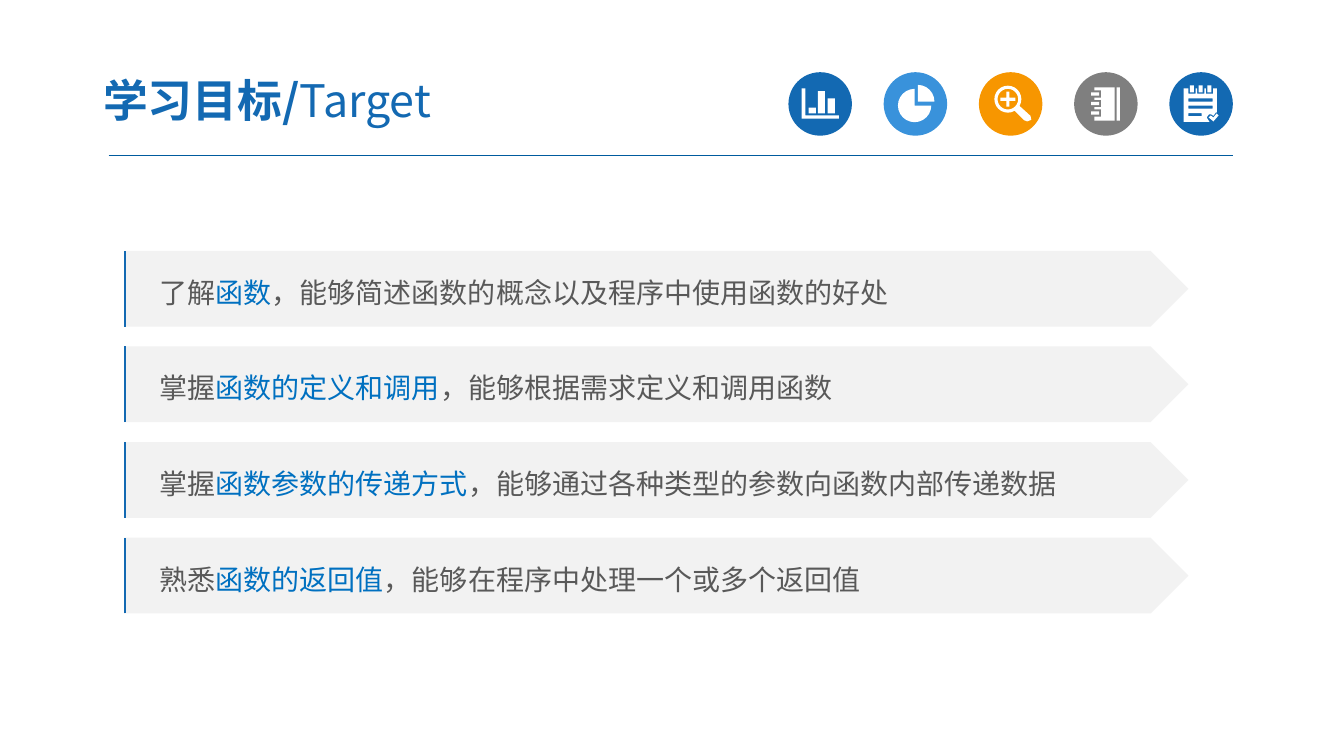
from math import cos, radians, sin

from lxml import etree
from pptx import Presentation
from pptx.dml.color import RGBColor
from pptx.enum.shapes import MSO_CONNECTOR, MSO_SHAPE
from pptx.enum.text import MSO_ANCHOR, MSO_AUTO_SIZE, PP_ALIGN
from pptx.oxml.ns import qn
from pptx.util import Cm, Pt

FONT = "Noto Sans CJK SC"
BLUE = RGBColor(0x13, 0x69, 0xB2)
SKY = RGBColor(0x39, 0x92, 0xDB)
ORANGE = RGBColor(0xF7, 0x96, 0x00)
GREY = RGBColor(0x7F, 0x7F, 0x7F)
WHITE = RGBColor(0xFF, 0xFF, 0xFF)
RULE_BLUE = RGBColor(0x00, 0x5B, 0x9E)
BANNER_GREY = RGBColor(0xF2, 0xF2, 0xF2)
TEXT_GREY = RGBColor(0x59, 0x59, 0x59)
KEY_BLUE = RGBColor(0x00, 0x70, 0xC0)

OVAL, PENTAGON = MSO_SHAPE.OVAL, MSO_SHAPE.PENTAGON
STRAIGHT = MSO_CONNECTOR.STRAIGHT
MIDDLE, LEFT = MSO_ANCHOR.MIDDLE, PP_ALIGN.LEFT


def add_run(paragraph, text, size, color, bold=False):
    run = paragraph.add_run()
    run.text = text
    run.font.size = Pt(size)
    run.font.bold = bold
    run.font.color.rgb = color
    run.font.name = FONT
    etree.SubElement(run.font._element, qn("a:ea")).set("typeface", FONT)


def arc(x, y, radius, start, end):
    """Points every 15 degrees, clockwise from the right."""
    return [(x + radius * cos(radians(a)), y + radius * sin(radians(a)))
            for a in range(start, end + 1, 15)]


prs = Presentation()
prs.slide_width, prs.slide_height = Cm(33.87), Cm(19.05)
slide = prs.slides.add_slide(prs.slide_layouts[5])

# Title and the rule below it
title = slide.shapes.title
title.left, title.top, title.width, title.height = Cm(2.27), Cm(1.6), Cm(13.26), Cm(1.83)
heading = title.text_frame
heading.auto_size = MSO_AUTO_SIZE.NONE
heading.vertical_anchor = MIDDLE
heading.margin_left = heading.margin_right = Cm(0.33)
heading.margin_top = heading.margin_bottom = Cm(0.18)
heading.paragraphs[0].alignment = LEFT
add_run(heading.paragraphs[0], "学习目标/", 32, BLUE, bold=True)
add_run(heading.paragraphs[0], "Target", 32, BLUE)
rule = slide.shapes.add_connector(STRAIGHT, Cm(2.74), Cm(3.93), Cm(31.07), Cm(3.93))
rule.line.color.rgb = RULE_BLUE
rule.line.width = Pt(0.75)
etree.SubElement(rule._element.spPr, qn("a:effectLst"))

# Glyph outlines in cm within the disc; an outline inside another is a hole
axes = [(0.33, 0.41), (0.43, 0.41), (0.43, 1.09), (1.27, 1.09), (1.27, 1.17), (0.33, 1.17)]
bars = [(0.51, 0.89, 0.18, 0.15), (0.74, 0.48, 0.18, 0.56), (0.99, 0.66, 0.18, 0.38)]

pie = [(0.78, 0.84)] + arc(0.78, 0.84, 0.42, 0, 270)
slice_outline = [(0.86, 0.74)] + arc(0.86, 0.74, 0.42, 270, 360)

lens_rim = arc(0.73, 0.68, 0.34, 60, 390) + [(1.3, 1.1), (1.32, 1.2), (1.22, 1.24), (1.14, 1.21)]
lens_glass = arc(0.73, 0.68, 0.26, 0, 345)
plus = [(0.73 + x, 0.68 + y) for x, y in
        [(-0.04, -0.19), (0.04, -0.19), (0.04, -0.04), (0.19, -0.04), (0.19, 0.04), (0.04, 0.04),
         (0.04, 0.19), (-0.04, 0.19), (-0.04, 0.04), (-0.19, 0.04), (-0.19, -0.04), (-0.04, -0.04)]]

cover = [(0.51, 0.38)]
cover_boxes = [(1.07, 0.38, 0.08, 0.84)]
sheet = [(0.36, 0.41)]
sheet_boxes = [(0.48, 0.66, 0.61, 0.08), (0.48, 0.84, 0.61, 0.08), (0.48, 1.03, 0.33, 0.08)]
for ring in range(3):
    y, x = 0.46 + 0.24 * ring, 0.48 + 0.22 * ring
    cover += [(0.51, y), (0.68, y), (0.68, y + 0.18), (0.51, y + 0.18)]
    cover_boxes.append((0.43, y + 0.05, 0.2, 0.08))
    sheet += [(x, 0.41), (x, 0.54), (x + 0.18, 0.54), (x + 0.18, 0.41)]
    sheet_boxes.append((x + 0.04, 0.33, 0.1, 0.18))
cover += [(0.51, 1.22), (1.02, 1.22), (1.02, 0.38)]
sheet += [(1.2, 0.41), (1.2, 1.01), (1.17, 1.02), (1.11, 1.1), (1.05, 1.06),
          (1, 1.06), (0.94, 1.14), (1.01, 1.25), (0.36, 1.25)]
tick = [(0.99, 1.14), (1.11, 1.24), (1.24, 1.09), (1.19, 1.04), (1.11, 1.14), (1.04, 1.09)]

# Row of icons: disc colour, outlines, boxes
icons = [
    (BLUE, [axes], bars),
    (SKY, [pie, slice_outline], []),
    (ORANGE, [lens_rim, lens_glass, plus], []),
    (GREY, [cover], cover_boxes),
    (BLUE, [sheet, tick], sheet_boxes),
]
DISC, DISC_TOP, DISC_LEFT, DISC_STEP = 1.6, 1.82, 19.87, 2.4
painted = []
for i, (disc_color, outlines, boxes) in enumerate(icons):
    left = DISC_LEFT + DISC_STEP * i
    icon = slide.shapes.add_group_shape()
    disc = icon.shapes.add_shape(OVAL, Cm(left), Cm(DISC_TOP), Cm(DISC), Cm(DISC))
    box_outlines = [[(x, y), (x + w, y), (x + w, y + h), (x, y + h)] for x, y, w, h in boxes]
    builder = None
    for outline in outlines + box_outlines:
        points = [(Cm(left + x), Cm(DISC_TOP + y)) for x, y in outline]
        if builder is None:
            builder = icon.shapes.build_freeform(*points[0])
        else:
            builder.move_to(*points[0])
        builder.add_line_segments(points[1:], close=True)
    glyph = builder.convert_to_shape()
    painted += [(disc, disc_color), (glyph, WHITE)]

# Learning goals: verb, key term, explanation
goals = [
    ("了解", "函数", "，能够简述函数的概念以及程序中使用函数的好处"),
    ("掌握", "函数的定义和调用", "，能够根据需求定义和调用函数"),
    ("掌握", "函数参数的传递方式", "，能够通过各种类型的参数向函数内部传递数据"),
    ("熟悉", "函数的返回值", "，能够在程序中处理一个或多个返回值"),
]
BANNER_HEIGHT, EDGE_LEFT, EDGE_FRAME = 1.91, 3.16, 0.3
for i, (verb, key_term, explanation) in enumerate(goals):
    top = 6.32 + 2.41 * i
    row = slide.shapes.add_group_shape()
    banner = row.shapes.add_shape(PENTAGON, Cm(3.13), Cm(top), Cm(26.82), Cm(BANNER_HEIGHT))
    painted.append((banner, BANNER_GREY))
    banner.text_frame.word_wrap = True
    banner.text_frame.vertical_anchor = MIDDLE
    banner.text_frame.margin_left = Cm(0.89)
    goal = banner.text_frame.paragraphs[0]
    goal.alignment = LEFT
    goal.line_spacing = 1.2
    add_run(goal, verb, 20, TEXT_GREY)
    add_run(goal, key_term, 20, KEY_BLUE)
    add_run(goal, explanation, 20, TEXT_GREY)

    # Open outline along the left side, in a frame that is wider than the stroke
    edge_outline = row.shapes.build_freeform(Cm(EDGE_LEFT), Cm(top + BANNER_HEIGHT))
    edge_outline.add_line_segments([(Cm(EDGE_LEFT), Cm(top))], close=False)
    edge_outline.move_to(Cm(EDGE_LEFT + EDGE_FRAME), Cm(top))
    edge = edge_outline.convert_to_shape()
    edge.shadow.inherit = False
    edge.fill.background()
    edge.line.color.rgb = BLUE
    edge.line.width = Pt(1.5)

# Flat colour for discs, glyphs and banners
for shape, color in painted:
    shape.shadow.inherit = False
    shape.fill.solid()
    shape.fill.fore_color.rgb = color
    shape.line.fill.background()

prs.save("out.pptx")
